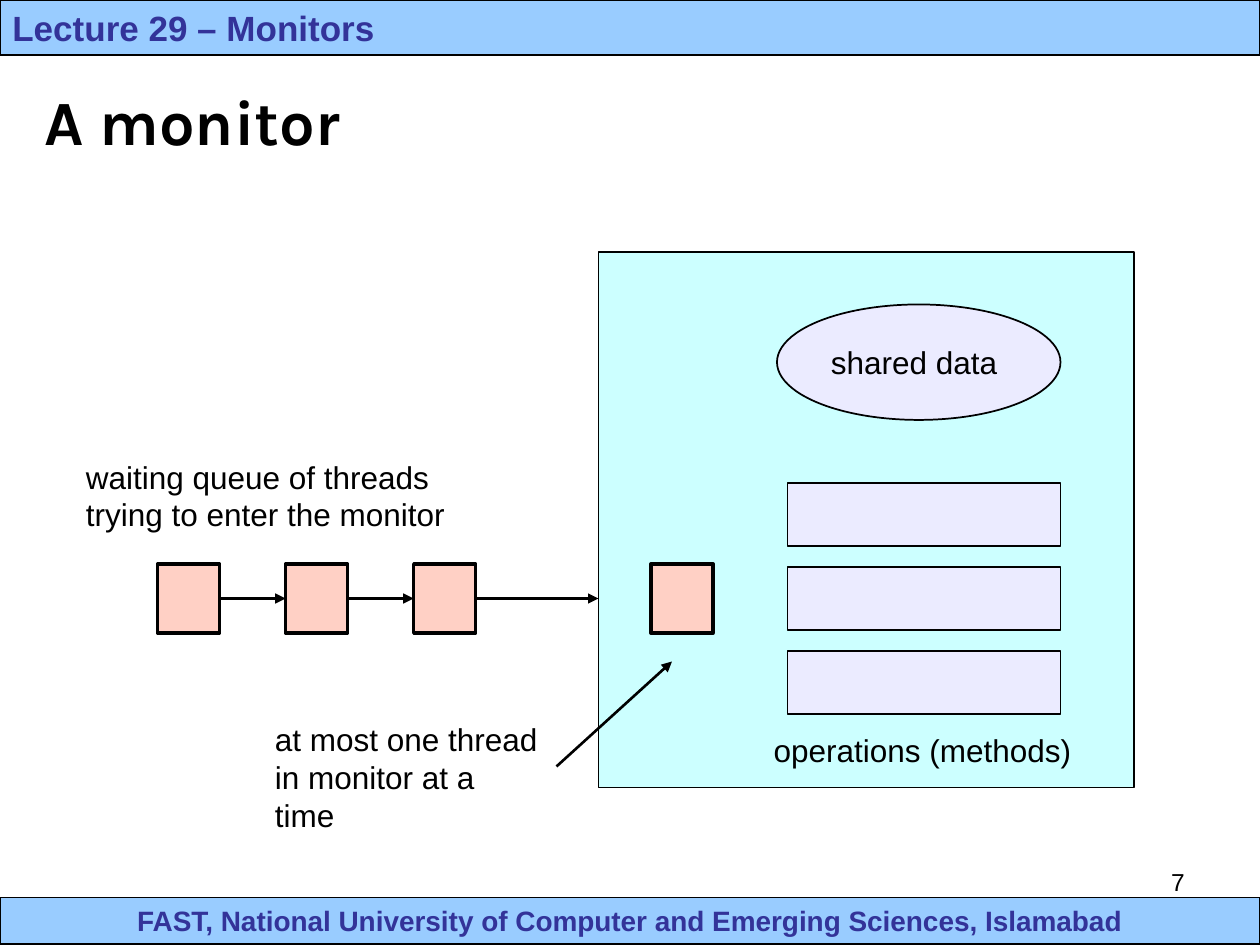
from dataclasses import dataclass
from typing import Optional

from pptx import Presentation
from pptx.dml.color import RGBColor
from pptx.enum.shapes import MSO_CONNECTOR, MSO_SHAPE
from pptx.enum.text import MSO_ANCHOR, PP_ALIGN
from pptx.oxml.ns import qn
from pptx.util import Inches, Pt
from lxml.etree import SubElement

COLS, ROWS = 120, 90


@dataclass(frozen=True)
class Theme:
    black: str = "000000"
    band: str = "99CCFF"
    band_text: str = "333399"
    monitor: str = "CCFFFF"
    member: str = "EBEBFF"
    thread: str = "FFD0C5"
    body_font: str = "Arial"
    title_font: str = "Karla"
    title: int = 36
    header: int = 20
    footer: int = 16
    label: int = 18
    number: int = 14


THEME = Theme()


@dataclass(frozen=True)
class Cell:
    col: float
    row: float
    cols: float
    rows: float


@dataclass(frozen=True)
class Style:
    size: int
    color: str = THEME.black
    bold: bool = False
    font: str = THEME.body_font
    align: PP_ALIGN = PP_ALIGN.LEFT
    anchor: MSO_ANCHOR = MSO_ANCHOR.TOP
    wrap: bool = True


LABEL = Style(THEME.label)

prs = Presentation()
prs.slide_width, prs.slide_height = Inches(10), Inches(7.5)
s = prs.slides.add_slide(prs.slide_layouts[5])


def x(col: float) -> int:
    return round(prs.slide_width * col / COLS)


def y(row: float) -> int:
    return round(prs.slide_height * row / ROWS)


def frame(c: Cell) -> tuple:
    return x(c.col), y(c.row), x(c.cols), y(c.rows)


def write(sp, text: str, st: Style) -> None:
    tf = sp.text_frame
    tf.text = text
    tf.word_wrap = st.wrap
    tf.vertical_anchor = st.anchor
    p = tf.paragraphs[0]
    p.alignment = st.align
    r = p.runs[0]
    r.font.name, r.font.size, r.font.bold = st.font, Pt(st.size), st.bold
    r.font.color.rgb = RGBColor.from_string(st.color)


def box(c: Cell, fill: str, width: float = 1, kind: MSO_SHAPE = MSO_SHAPE.RECTANGLE):
    sp = s.shapes.add_shape(kind, *frame(c))
    sp.shadow.inherit = False
    sp.fill.solid()
    sp.fill.fore_color.rgb = RGBColor.from_string(fill)
    sp.line.color.rgb = RGBColor.from_string(THEME.black)
    sp.line.width = Pt(width)
    return sp


def label(c: Cell, text: str, st: Style = LABEL) -> None:
    write(s.shapes.add_textbox(*frame(c)), text, st)


def arrow(start: tuple, end: tuple, source: Optional[object] = None,
          target: Optional[object] = None) -> None:
    sp = s.shapes.add_connector(MSO_CONNECTOR.STRAIGHT, x(start[0]), y(start[1]),
                                x(end[0]), y(end[1]))
    if source is not None:
        sp.begin_connect(source, 3)
    if target is not None:
        sp.end_connect(target, 1)
    sp.line.color.rgb = RGBColor.from_string(THEME.black)
    sp.line.width = Pt(1.5)
    SubElement(sp.line._get_or_add_ln(), qn("a:tailEnd"), type="triangle")
    SubElement(sp._element.spPr, qn("a:effectLst"))


def thread(col: float):
    return box(Cell(col, 53.7, 5.9, 6.6), THEME.thread, 2)


def bands() -> None:
    footer = box(Cell(0, 85.45, COLS, 4.45), THEME.band, 0.75)
    write(footer, "FAST, National University of Computer and Emerging Sciences, Islamabad",
          Style(THEME.footer, THEME.band_text, True, align=PP_ALIGN.CENTER))
    header = box(Cell(0, 0, COLS, 5.25), THEME.band, 0.75)
    write(header, "Lecture 29 – Monitors", Style(THEME.header, THEME.band_text, True))
    label(Cell(86, 82, 28, 6.2), "7", Style(THEME.number, align=PP_ALIGN.RIGHT))


def title() -> None:
    sp = s.shapes.title
    sp.left, sp.top, sp.width, sp.height = frame(Cell(3, 7, 108, 9))
    write(sp, "A monitor", Style(THEME.title, bold=True, font=THEME.title_font,
                                 anchor=MSO_ANCHOR.MIDDLE))


def monitor() -> None:
    box(Cell(57, 24, 51, 51), THEME.monitor)
    data = box(Cell(74, 29, 27, 11), THEME.member, kind=MSO_SHAPE.OVAL)
    write(data, "shared data",
          Style(THEME.label, anchor=MSO_ANCHOR.MIDDLE, wrap=False))
    for i in range(3):
        box(Cell(75, 46 + 8 * i, 26, 6), THEME.member)
    label(Cell(72.5, 69, 33, 4.8), "operations (methods)")
    thread(62)
    label(Cell(25, 68, 27.8, 12), "at most one thread in monitor at a time")
    arrow((53, 73), (64, 63))


def queue() -> None:
    label(Cell(7, 43, 43, 8.4), "waiting queue of threads trying to enter the monitor")
    waiting = [thread(15 + 12.2 * i) for i in range(3)]
    for source, target in zip(waiting, waiting[1:]):
        arrow((0, 0), (0, 0), source, target)
    arrow((45, 57), (57, 57), waiting[-1])


bands()
title()
monitor()
queue()
prs.save("out.pptx")
